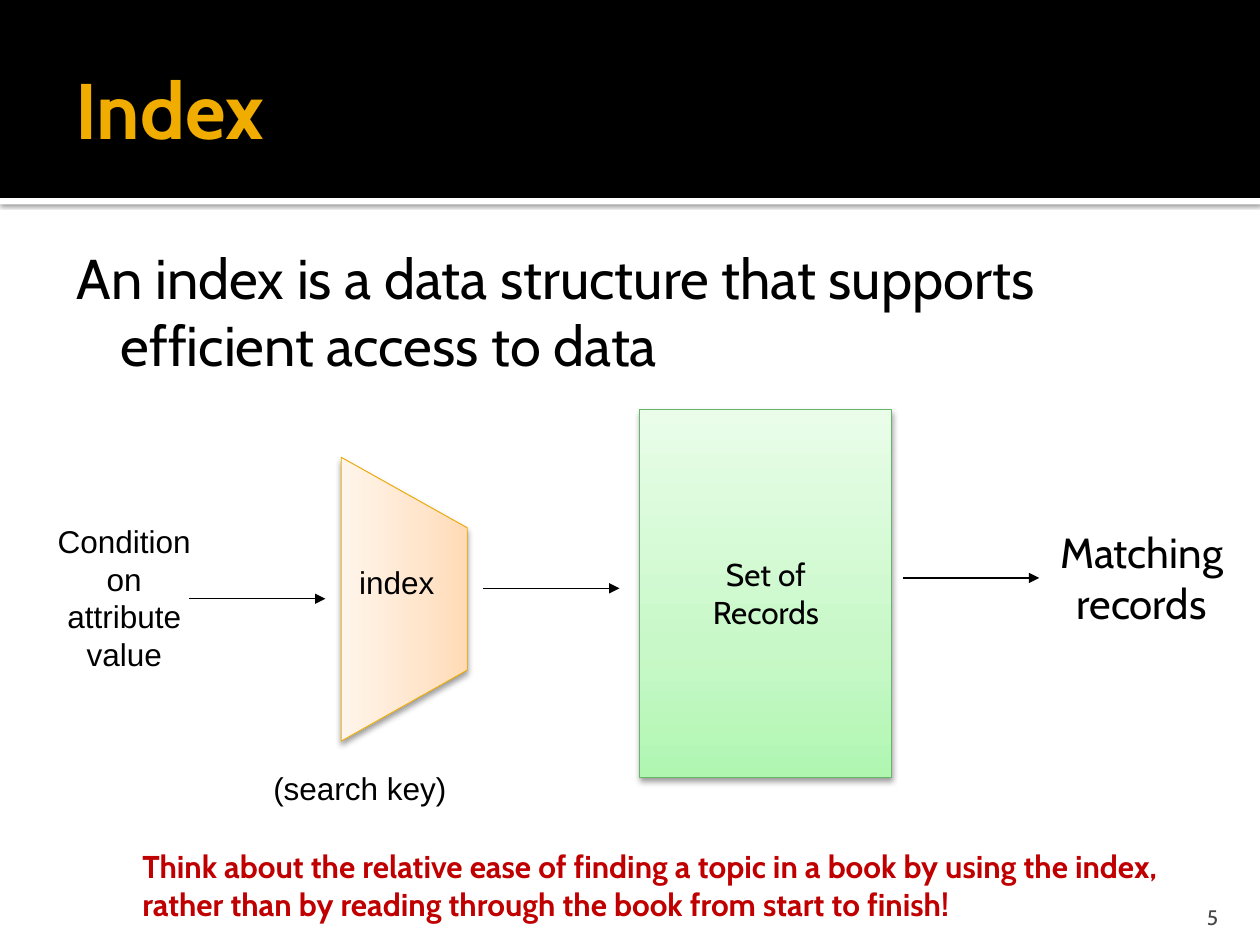
from copy import deepcopy
from dataclasses import dataclass

from lxml.etree import SubElement
from pptx import Presentation
from pptx.dml.color import RGBColor
from pptx.enum.shapes import MSO_CONNECTOR, MSO_SHAPE
from pptx.enum.text import MSO_ANCHOR, MSO_AUTO_SIZE, PP_ALIGN
from pptx.oxml.ns import qn
from pptx.util import Cm, Pt


@dataclass(frozen=True)
class Theme:
    heading_font: str = "Cabin"
    label_font: str = "Arial"
    black: str = "000000"
    white: str = "FFFFFF"
    gold: str = "F0AD00"
    red: str = "C00000"
    gray: str = "454545"
    orange_line: str = "EBA900"
    green_line: str = "67B569"
    orange_stops: tuple = ((0, "FFDBB5"), (0.35, "FFE5CB"), (1, "FFF5EB"))
    green_stops: tuple = ((0, "B0F6B1"), (0.35, "C8F8C8"), (1, "E9FDE9"))
    title_size: int = 45
    body_size: int = 32
    result_size: int = 24
    label_size: int = 18
    number_size: int = 12


THEME = Theme()


def color(code):
    return RGBColor.from_string(code)


def write(shape, text, size, font=THEME.heading_font, ink=THEME.black,
          bold=False, align=PP_ALIGN.LEFT, anchor=MSO_ANCHOR.TOP, wrap=True):
    frame = shape.text_frame
    frame.word_wrap = wrap
    frame.vertical_anchor = anchor
    para = frame.paragraphs[0]
    para.text = text
    para.alignment = align
    para.font.name = font
    para.font.size = Pt(size)
    para.font.bold = bold
    para.font.color.rgb = color(ink)
    return frame


def add_text(page, place, text, size, insets=(0.25, 0.13, 0.25, 0.13), **style):
    box = page.shapes.add_textbox(*map(Cm, place))
    frame = write(box, text, size, **style)
    frame.margin_left, frame.margin_top, frame.margin_right, frame.margin_bottom = map(Cm, insets)
    return frame


def add_label(page, place, text, size=THEME.label_size, wrap=False, **style):
    frame = add_text(page, place, text, size, wrap=wrap, **style)
    frame.auto_size = MSO_AUTO_SIZE.SHAPE_TO_FIT_TEXT


def add_band(page, top, height, paint):
    band = page.shapes.add_shape(MSO_SHAPE.RECTANGLE, 0, Cm(top), Cm(25.4), Cm(height))
    band.shadow.inherit = False
    band.fill.solid()
    band.fill.fore_color.rgb = color(paint)
    band.line.fill.background()
    return band


def cast_shadow(shape, blur, distance, opacity):
    shape.shadow.inherit = False
    effects = shape.element.spPr.find(qn("a:effectLst"))
    shadow = SubElement(effects, qn("a:outerShdw"), blurRad=str(Pt(blur)),
                        dist=str(Pt(distance)), dir="5400000", rotWithShape="0")
    tint = SubElement(shadow, qn("a:srgbClr"), val=THEME.black)
    SubElement(tint, qn("a:alpha"), val=str(opacity * 1000))


def paint_gradient(shape, stops, angle, outline):
    shape.fill.gradient()
    shape.fill.gradient_angle = angle
    stop_list = shape.element.spPr.find(".//" + qn("a:gsLst"))
    stop_list.append(deepcopy(stop_list[0]))
    for stop, (position, code) in zip(shape.fill.gradient_stops, stops):
        stop.position = position
        stop.color.rgb = color(code)
    shape.line.color.rgb = color(outline)
    shape.line.width = Pt(0.5)
    cast_shadow(shape, 3.5, 2, 38)


def add_index_funnel(page):
    left, right = Cm(6.88), Cm(9.42)
    builder = page.shapes.build_freeform(left, Cm(14.94), scale=1.0)
    builder.add_line_segments([(right, Cm(13.51)), (right, Cm(10.64)), (left, Cm(9.22))])
    paint_gradient(builder.convert_to_shape(), THEME.orange_stops, 180, THEME.orange_line)


def add_record_set(page):
    block = page.shapes.add_shape(MSO_SHAPE.RECTANGLE, Cm(12.9), Cm(8.25), Cm(5.08), Cm(7.42))
    paint_gradient(block, THEME.green_stops, 90, THEME.green_line)
    write(block, "Set of\nRecords", THEME.label_size, align=PP_ALIGN.CENTER,
          anchor=MSO_ANCHOR.MIDDLE, wrap=False)


def add_arrow(page, left, top, length=2.75):
    arrow = page.shapes.add_connector(MSO_CONNECTOR.STRAIGHT, Cm(left), Cm(top),
                                      Cm(left + length), Cm(top))
    arrow.line.color.rgb = color(THEME.black)
    arrow.line.width = Pt(0.75)
    properties = arrow.element.spPr
    SubElement(properties.find(qn("a:ln")), qn("a:tailEnd"), type="triangle")
    SubElement(properties, qn("a:effectLst"))


def add_header(page):
    strip = add_band(page, 3.99, 0.13, THEME.white)
    cast_shadow(strip, 2.5, 0.8, 60)
    add_band(page, 0, 3.99, THEME.black)
    add_text(page, (22.78, 17.98, 2.03, 0.76), "5", THEME.number_size,
             insets=(0.25, 0.13, 0.25, 0), ink=THEME.gray,
             align=PP_ALIGN.RIGHT, anchor=MSO_ANCHOR.BOTTOM)
    add_text(page, (1.27, 0.43, 22.86, 3.48), "Index", THEME.title_size,
             insets=(0.25, 0.13, 0.13, 0.13), ink=THEME.gold, bold=True,
             anchor=MSO_ANCHOR.MIDDLE)


def add_definition(page):
    frame = add_text(page, (1.07, 4.65, 23.06, 13.13),
                     "An index is a data structure that supports efficient access to data",
                     THEME.body_size, insets=(0.15, 0.25, 0.25, 0.13))
    properties = frame.paragraphs[0]._p.get_or_add_pPr()
    properties.set("marL", str(Cm(1.22)))
    properties.set("indent", str(Cm(-0.89)))


def add_lookup_flow(page):
    add_index_funnel(page)
    add_record_set(page)
    add_label(page, (6.99, 11.23, 2.39, 1.27), "index", font=THEME.label_font)
    add_label(page, (0.56, 10.39, 3.89, 4.32), "Condition\non\nattribute\nvalue",
              font=THEME.label_font, align=PP_ALIGN.CENTER)
    for left, top in ((3.81, 12.07), (9.74, 11.86), (18.2, 11.65)):
        add_arrow(page, left, top)
    add_label(page, (21.01, 10.49, 4.01, 2.31), "Matching\nrecords",
              THEME.result_size, align=PP_ALIGN.CENTER)
    add_label(page, (5.26, 15.37, 4.67, 1.27), "(search key)", font=THEME.label_font)


def main():
    deck = Presentation()
    deck.slide_width, deck.slide_height = Cm(25.4), Cm(19.05)
    page = deck.slides.add_slide(deck.slide_layouts[6])
    add_header(page)
    add_definition(page)
    add_lookup_flow(page)
    add_label(page, (2.62, 16.94, 21.59, 1.8),
              "Think about the relative ease of finding a topic in a book by using the index, "
              "rather than by reading through the book from start to finish!",
              ink=THEME.red, bold=True, wrap=True)
    deck.save("out.pptx")


if __name__ == "__main__":
    main()
